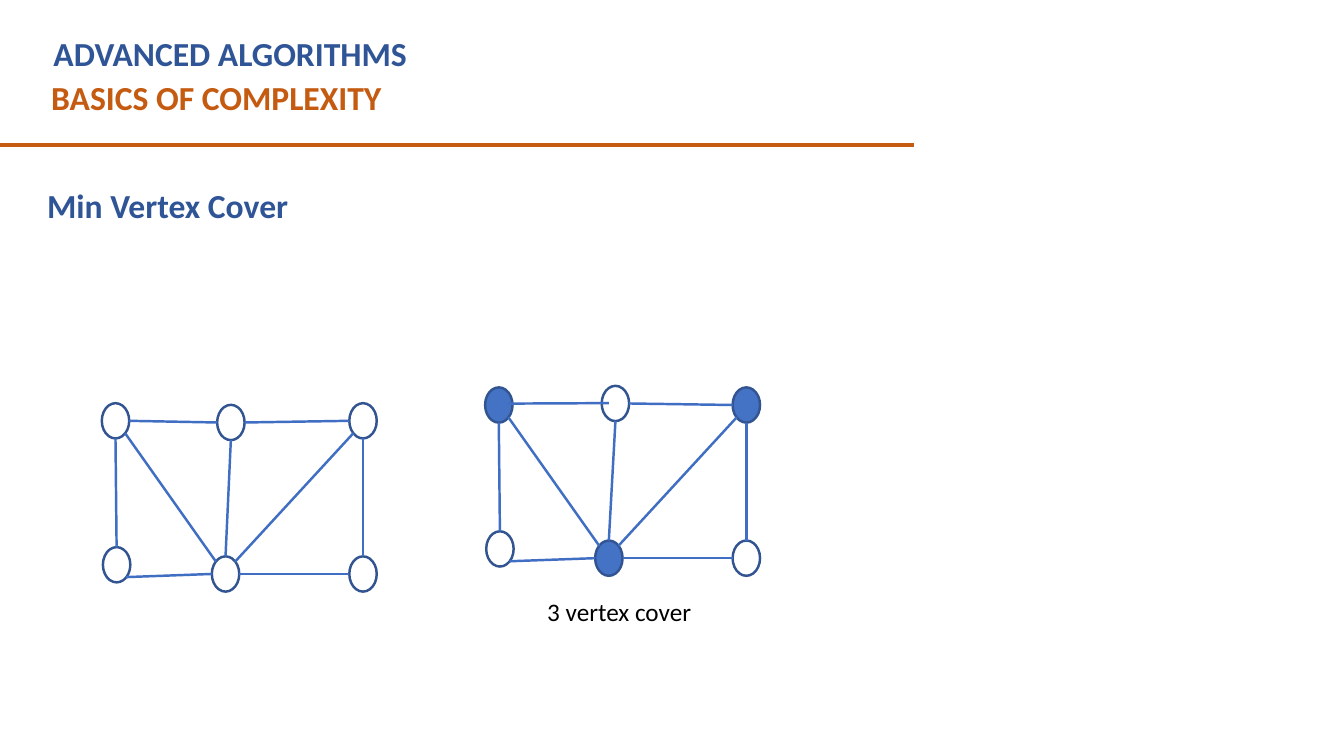
from pptx import Presentation
from pptx.dml.color import RGBColor
from pptx.enum import shapes, text
from pptx.oxml import ns
from pptx.util import Pt
from lxml import etree

NAVY = RGBColor(0x2F, 0x55, 0x97)
ORANGE = RGBColor(0xC5, 0x5A, 0x11)
BLACK = RGBColor(0, 0, 0)
NODE_FILL = RGBColor(0x44, 0x72, 0xC4)
NODE_LINE = RGBColor(0x32, 0x54, 0x91)
EDGE_LINE = RGBColor(0x3F, 0x6E, 0xC2)

COURSE = ("ADVANCED ALGORITHMS", (31, 20.2, 590, 36), 24, NAVY, True)
LABELS = [
    ("BASICS OF COMPLEXITY", (29.5, 51.1, 630, 36), 24, ORANGE, True),
    ("Min Vertex Cover", (26.6, 128.9, 734, 36), 24, NAVY, True),
    ("3 vertex cover", (383.8, 422.6, 155, 29), 18, BLACK, False),
]
RULE = ((-0.7, 103.7), (653, 103.7))

NODE_SIZE = (19.6, 25.2)
NODES = {
    "top left": (0, 0), "top middle": (82.4, 1.2), "top right": (176.8, 0),
    "low left": (0.8, 102.8), "low middle": (78.6, 109.4), "low right": (176.8, 109.4),
}
SITES = {
    "N": (0.5, 0), "S": (0.5, 1), "W": (0, 0.5), "E": (1, 0.5),
    "NW": (0.15, 0.15), "NE": (0.85, 0.15), "SW": (0.15, 0.85), "SE": (0.85, 0.85),
    "right inside": (0.85, 0.46), "left inside": (0.26, 0.49),
}
TOP_EDGE = ("top left", "E", "top middle", "W")
INNER_TOP_EDGE = ("top left", "right inside", "top middle", "left inside")
EDGES = [
    ("top middle", "S", "low middle", "N"),
    ("low middle", "E", "low right", "W"),
    ("low right", "N", "top right", "S"),
    ("top right", "W", "top middle", "E"),
    ("top left", "S", "low left", "N"),
    ("low left", "SE", "low middle", "W"),
    ("low middle", "NE", "top right", "SW"),
    ("low middle", "NW", "top left", "SE"),
]
GRAPHS = [
    {"origin": (72.7, 288), "cover": (), "moved": {}, "top": TOP_EDGE},
    {"origin": (346.5, 276.7), "cover": ("top left", "top right", "low middle"),
     "moved": {"top middle": (83.3, -1.1)}, "top": INNER_TOP_EDGE},
]


def write(shape, content, box, size, color, bold):
    shape.left, shape.top, shape.width, shape.height = map(Pt, box)
    frame = shape.text_frame
    frame.word_wrap = True
    frame.auto_size = text.MSO_AUTO_SIZE.NONE
    frame.vertical_anchor = text.MSO_ANCHOR.TOP
    paragraph = frame.paragraphs[0]
    paragraph.alignment = text.PP_ALIGN.LEFT
    run = paragraph.add_run()
    run.text = content
    run.font.name = "Calibri"
    run.font.size = Pt(size)
    run.font.bold = bold
    run.font.color.rgb = color


def draw_line(slide, start, end, color, width):
    line = slide.shapes.add_connector(
        shapes.MSO_CONNECTOR.STRAIGHT, *map(Pt, (*start, *end)))
    line.line.color.rgb = color
    line.line.width = Pt(width)
    etree.SubElement(line._element.spPr, ns.qn("a:effectLst"))


def draw_node(slide, corner, covered):
    node = slide.shapes.add_shape(
        shapes.MSO_SHAPE.OVAL, *map(Pt, (*corner, *NODE_SIZE)))
    node.shadow.inherit = False
    node.line.color.rgb = NODE_LINE
    node.line.width = Pt(1.75)
    if covered:
        node.fill.solid()
        node.fill.fore_color.rgb = NODE_FILL
    else:
        node.fill.background()


def draw_graph(slide, origin, cover, moved, top):
    corners = {name: (origin[0] + x, origin[1] + y)
               for name, (x, y) in {**NODES, **moved}.items()}

    def anchor(name, site):
        return [c + s * f for c, s, f in zip(corners[name], NODE_SIZE, SITES[site])]

    for name, corner in corners.items():
        draw_node(slide, corner, name in cover)
    for tail, tail_site, head, head_site in [*EDGES, top]:
        draw_line(slide, anchor(tail, tail_site), anchor(head, head_site), EDGE_LINE, 1.75)


def main():
    presentation = Presentation()
    presentation.slide_width, presentation.slide_height = Pt(960), Pt(540)
    slide = presentation.slides.add_slide(presentation.slide_layouts[5])
    write(slide.shapes.title, *COURSE)
    for label in LABELS:
        write(slide.shapes.add_textbox(0, 0, 0, 0), *label)
    draw_line(slide, *RULE, ORANGE, 3)
    for graph in GRAPHS:
        draw_graph(slide, **graph)
    presentation.save("out.pptx")


if __name__ == "__main__":
    main()
